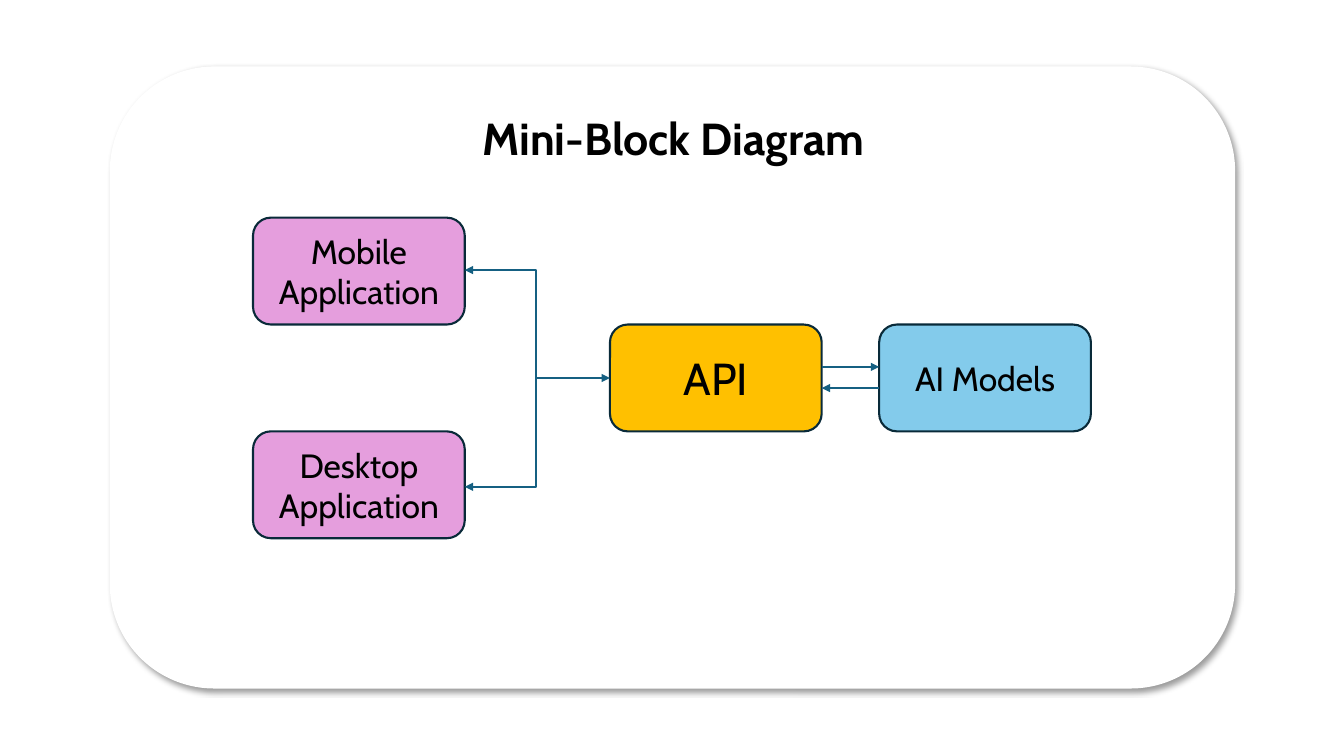
from lxml import etree
from pptx import Presentation
from pptx.dml.color import RGBColor
from pptx.enum.shapes import MSO_CONNECTOR, MSO_SHAPE
from pptx.enum.text import MSO_ANCHOR, MSO_AUTO_SIZE, PP_ALIGN
from pptx.oxml import parse_xml
from pptx.oxml.ns import nsdecls, qn
from pptx.util import Inches, Pt

ROUND = MSO_SHAPE.ROUNDED_RECTANGLE
LINE, BENT = MSO_CONNECTOR.STRAIGHT, MSO_CONNECTOR.ELBOW
MID, TOP = MSO_ANCHOR.MIDDLE, MSO_ANCHOR.TOP
CENTER = PP_ALIGN.CENTER
GROW = MSO_AUTO_SIZE.SHAPE_TO_FIT_TEXT

WHITE = RGBColor(0xFF, 0xFF, 0xFF)
BLACK = RGBColor(0x00, 0x00, 0x00)
NAVY = RGBColor(0x09, 0x2A, 0x39)
TEAL = RGBColor(0x15, 0x60, 0x82)
BLUE = RGBColor(0x83, 0xCB, 0xEB)
GOLD = RGBColor(0xFF, 0xC0, 0x00)
PINK = RGBColor(0xE5, 0x9E, 0xDD)

WIDE, HIGH = 13.33, 7.5
BOX_W, ROW = 2.1, 1.06
FIRST = 2.16
APP, API, AI = 2.51, 6.05, 8.72
AXIS = FIRST + 1.5 * ROW

deck = Presentation()
deck.slide_width, deck.slide_height = Inches(WIDE), Inches(HIGH)
slide = deck.slides.add_slide(deck.slide_layouts[5])
shapes = slide.shapes


def block(x, y, w, h, fill, edge):
    box = shapes.add_shape(ROUND, Inches(x), Inches(y), Inches(w), Inches(h))
    box.shadow.inherit = False
    box.fill.solid()
    box.fill.fore_color.rgb = fill
    box.line.color.rgb = edge
    box.line.width = Pt(1.5)
    return box


def label(shape, text, size, anchor, bold=False):
    frame = shape.text_frame
    frame.text = text
    frame.word_wrap = True
    frame.vertical_anchor = anchor
    para = frame.paragraphs[0]
    para.alignment = CENTER
    font = para.runs[0].font
    font.name, font.size, font.bold = "Cabin", Pt(size), bold
    font.color.rgb = BLACK


panel = block(1.1, 0.67, 11.14, 6.15, WHITE, WHITE)
glow = panel._element.spPr.find(qn("a:effectLst"))
glow.append(parse_xml(
    f'<a:outerShdw {nsdecls("a")} blurRad="{Pt(4)}" dist="{Pt(3)}" dir="2700000" '
    'algn="tl" rotWithShape="0"><a:srgbClr val="000000"><a:alpha val="40000"/>'
    '</a:srgbClr></a:outerShdw>'))

title = shapes.title
panel._element.addnext(title._element)
title.left, title.top = Inches(1.13), Inches(1.05)
title.width, title.height = Inches(11.1), Inches(0.64)
label(title, "Mini-Block Diagram", 32, TOP, True)
title.text_frame.auto_size = GROW

for text, x, row, fill, size in (
    ("AI Models", AI, 1, BLUE, 24),
    ("API", API, 1, GOLD, 32),
    ("Desktop Application", APP, 2, PINK, 24),
    ("Mobile Application", APP, 0, PINK, 24),
):
    box = block(x, FIRST + row * ROW, BOX_W, ROW, fill, NAVY)
    label(box, text, size, MID)

for kind, x1, y1, x2, y2 in (
    (LINE, AI, AXIS + 0.1, API + BOX_W, AXIS + 0.1),
    (BENT, 6.03, AXIS, APP + BOX_W, 2.68),
    (BENT, 6.03, AXIS, APP + BOX_W, 4.83),
    (LINE, 5.48, AXIS, API, AXIS),
    (LINE, API + BOX_W, AXIS - 0.11, AI, AXIS - 0.11),
):
    link = shapes.add_connector(kind, Inches(x1), Inches(y1), Inches(x2), Inches(y2))
    link.line.color.rgb = TEAL
    link.line.width = Pt(1.5)
    etree.SubElement(link.line._get_or_add_ln(), qn("a:tailEnd"), type="triangle")
    etree.SubElement(link._element.spPr, qn("a:effectLst"))

deck.save("out.pptx")
